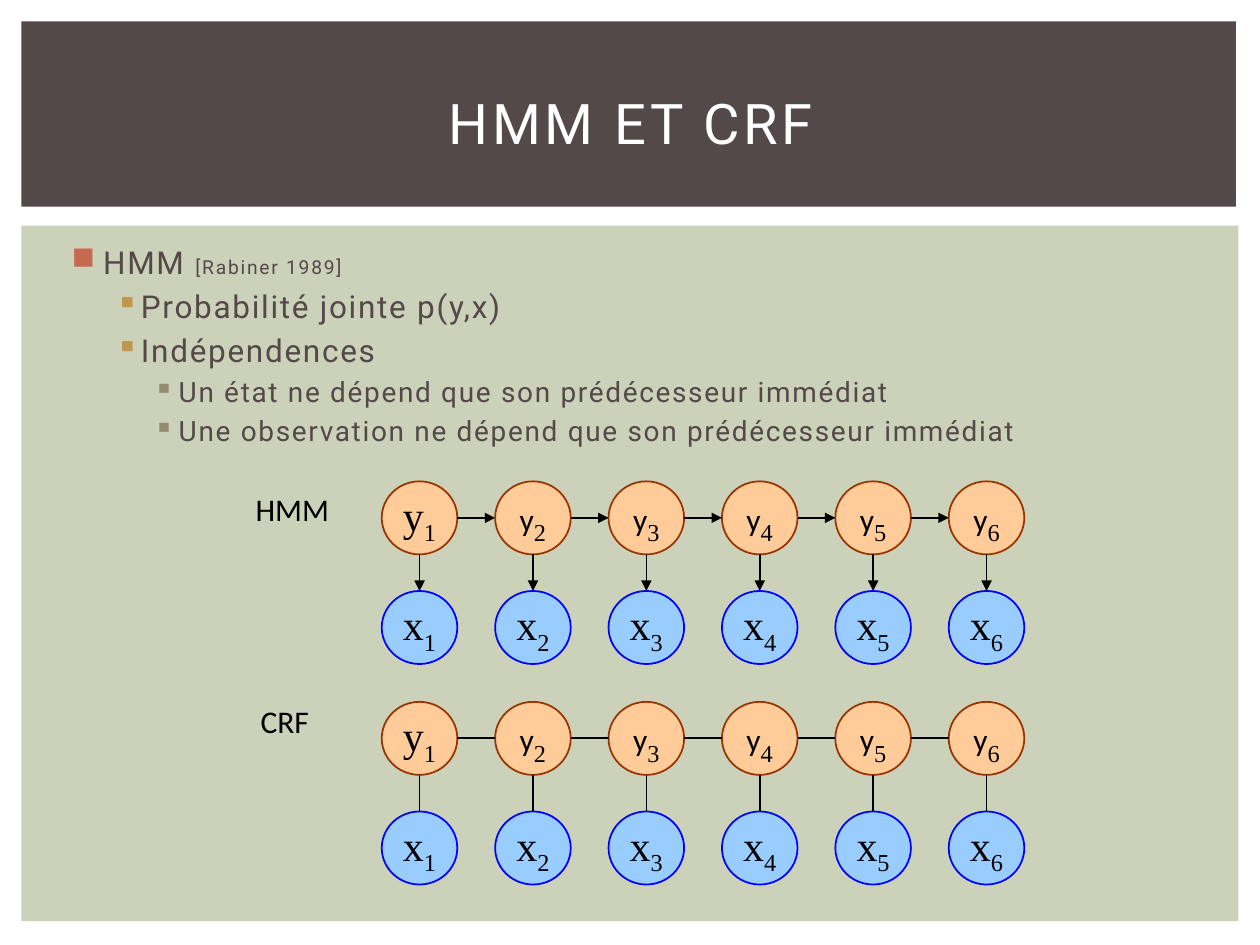
from dataclasses import dataclass

from lxml import etree
from pptx import Presentation
from pptx.dml.color import RGBColor
from pptx.enum import shapes, text
from pptx.oxml.ns import qn
from pptx.util import Inches, Pt


@dataclass(frozen=True)
class Theme:
    heading_font: str = "Roboto"
    label_font: str = "Calibri"
    math_font: str = "Times New Roman"
    dark: str = "534949"
    panel: str = "CCD1B9"
    white: str = "FFFFFF"
    black: str = "000000"
    state: tuple = ("FFCC99", "993300")
    observation: tuple = ("99CCFF", "0000FF")
    title_size: int = 32
    text_size: int = 18
    detail_size: int = 16
    cite_size: int = 11
    math_size: int = 24


T = Theme()
TITLE = "HMM ET CRF"
PANELS = [((0.17, 1.79, 9.66, 5.52), T.panel), ((0.17, 0.17, 9.64, 1.47), T.dark)]
# margin, hanging indent, bullet, bullet colour
LEVELS = [(0.3, 0.25, "■", "C66951"), (0.6, 0.2, "▪", "BF974D"), (0.9, 0.2, "▪", "928B70")]
BULLETS = [
    (0, [("HMM ", T.text_size), ("[Rabiner 1989]", T.cite_size)]),
    (1, [("Probabilité jointe p(y,x)", T.text_size)]),
    (1, [("Indépendences", T.text_size)]),
    (2, [("Un état ne dépend que son prédécesseur immédiat", T.detail_size)]),
    (2, [("Une observation ne dépend que son prédécesseur immédiat", T.detail_size)]),
]
# name, label box, top of the chain, directed
MODELS = [
    ("CRF", (1.97, 5.52, 0.72, 0.4), 5.57, False),
    ("HMM", (1.93, 3.84, 0.8, 0.4), 3.82, True),
]
STEPS = 6
LEFT, NODE_W, NODE_H = 3.03, 0.6, 0.58
PITCH_X, PITCH_Y = 0.9, 0.87


def rgb(value):
    return RGBColor.from_string(value)


def inches(values):
    return [Inches(v) for v in values]


def add_run(p, words, size, font, color, spacing=0, baseline=0):
    r = p.add_run()
    r.text = words
    r.font.size, r.font.name = Pt(size), font
    r.font.color.rgb = rgb(color)
    if spacing:
        r.font._element.set("spc", str(spacing * 100))
    if baseline:
        r.font._element.set("baseline", str(baseline * 1000))


def add_shape(parent, kind, box, fill, line=None):
    sp = parent.add_shape(kind, *inches(box))
    sp.shadow.inherit = False
    sp.fill.solid()
    sp.fill.fore_color.rgb = rgb(fill)
    if line:
        sp.line.color.rgb = rgb(line)
        sp.line.width = Pt(1)
    else:
        sp.line.fill.background()
    return sp


def add_node(group, x, y, letter, index, colors):
    sp = add_shape(group, shapes.MSO_SHAPE.OVAL, (x, y, NODE_W, NODE_H), *colors)
    tf = sp.text_frame
    tf.word_wrap = False
    tf.vertical_anchor = text.MSO_ANCHOR.MIDDLE
    p = tf.paragraphs[0]
    p.alignment = text.PP_ALIGN.CENTER
    small = letter == "y" and index > 1
    size, font = (T.text_size, T.label_font) if small else (T.math_size, T.math_font)
    add_run(p, letter, size, font, T.black)
    add_run(p, str(index), T.math_size, T.math_font, T.black, baseline=-25)


def add_edge(group, start, end, directed):
    edge = group.add_connector(shapes.MSO_CONNECTOR.STRAIGHT, *inches(start + end))
    edge.line.color.rgb = rgb(T.black)
    edge.line.width = Pt(1)
    if directed:
        etree.SubElement(edge.line._get_or_add_ln(), qn("a:tailEnd"), type="triangle")
    etree.SubElement(edge._element.spPr, qn("a:effectLst"))


def add_chain(slide, top, directed):
    """Draw a row of states, each joined to the next and to its observation."""
    group = slide.shapes.add_group_shape().shapes
    xs = [LEFT + i * PITCH_X for i in range(STEPS)]
    for i, x in enumerate(xs, 1):
        add_node(group, x, top, "y", i, T.state)
        add_node(group, x, top + PITCH_Y, "x", i, T.observation)
    for x in xs:
        mid = x + NODE_W / 2
        add_edge(group, (mid, top + NODE_H), (mid, top + PITCH_Y), directed)
    mid = top + NODE_H / 2
    for x, following in zip(xs, xs[1:]):
        add_edge(group, (x + NODE_W, mid), (following, mid), directed)


def add_title(slide):
    title = slide.shapes.title
    slide.shapes._spTree.append(title._element)  # in front of the panels
    title.left, title.top, title.width, title.height = inches((0.42, 0.39, 9.17, 1.15))
    title.text_frame.vertical_anchor = text.MSO_ANCHOR.MIDDLE
    p = title.text_frame.paragraphs[0]
    p.alignment = text.PP_ALIGN.CENTER
    add_run(p, TITLE, T.title_size, T.heading_font, T.white, spacing=2)


def add_bullets(slide):
    tf = slide.shapes.add_textbox(*inches((0.42, 1.88, 9.19, 4.82))).text_frame
    tf.word_wrap = True
    for i, (level, runs) in enumerate(BULLETS):
        p = tf.add_paragraph() if i else tf.paragraphs[0]
        p.level = level
        p.space_before = Pt(0.2 * runs[0][1])
        margin, hang, mark, color = LEVELS[level]
        pPr = p._p.get_or_add_pPr()
        pPr.set("marL", str(Inches(margin)))
        pPr.set("indent", str(-Inches(hang)))
        bu_clr = etree.SubElement(pPr, qn("a:buClr"))
        etree.SubElement(bu_clr, qn("a:srgbClr"), val=color)
        etree.SubElement(pPr, qn("a:buChar"), char=mark)
        for words, size in runs:
            add_run(p, words, size, T.heading_font, T.dark, spacing=1)


def add_label(slide, words, box):
    tf = slide.shapes.add_textbox(*inches(box)).text_frame
    tf.word_wrap = False
    tf.auto_size = text.MSO_AUTO_SIZE.SHAPE_TO_FIT_TEXT
    add_run(tf.paragraphs[0], words, T.text_size, T.label_font, T.black)


def main():
    prs = Presentation()
    prs.slide_width, prs.slide_height = Inches(10), Inches(7.5)
    slide = prs.slides.add_slide(prs.slide_layouts[5])
    for box, fill in PANELS:
        add_shape(slide.shapes, shapes.MSO_SHAPE.RECTANGLE, box, fill)
    add_bullets(slide)
    add_title(slide)
    for name, box, top, directed in MODELS:
        add_label(slide, name, box)
        add_chain(slide, top, directed)
    prs.save("out.pptx")


if __name__ == "__main__":
    main()
